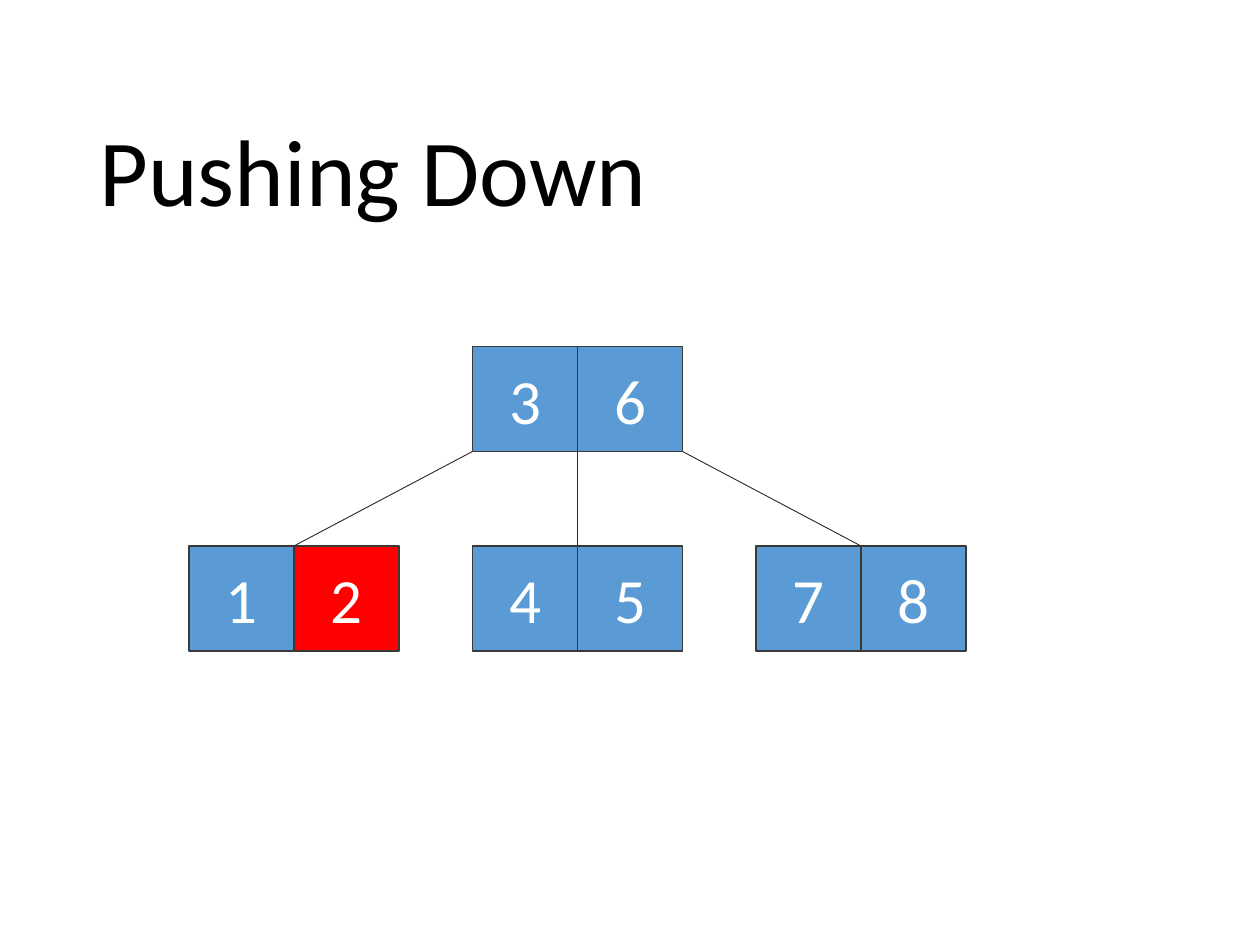
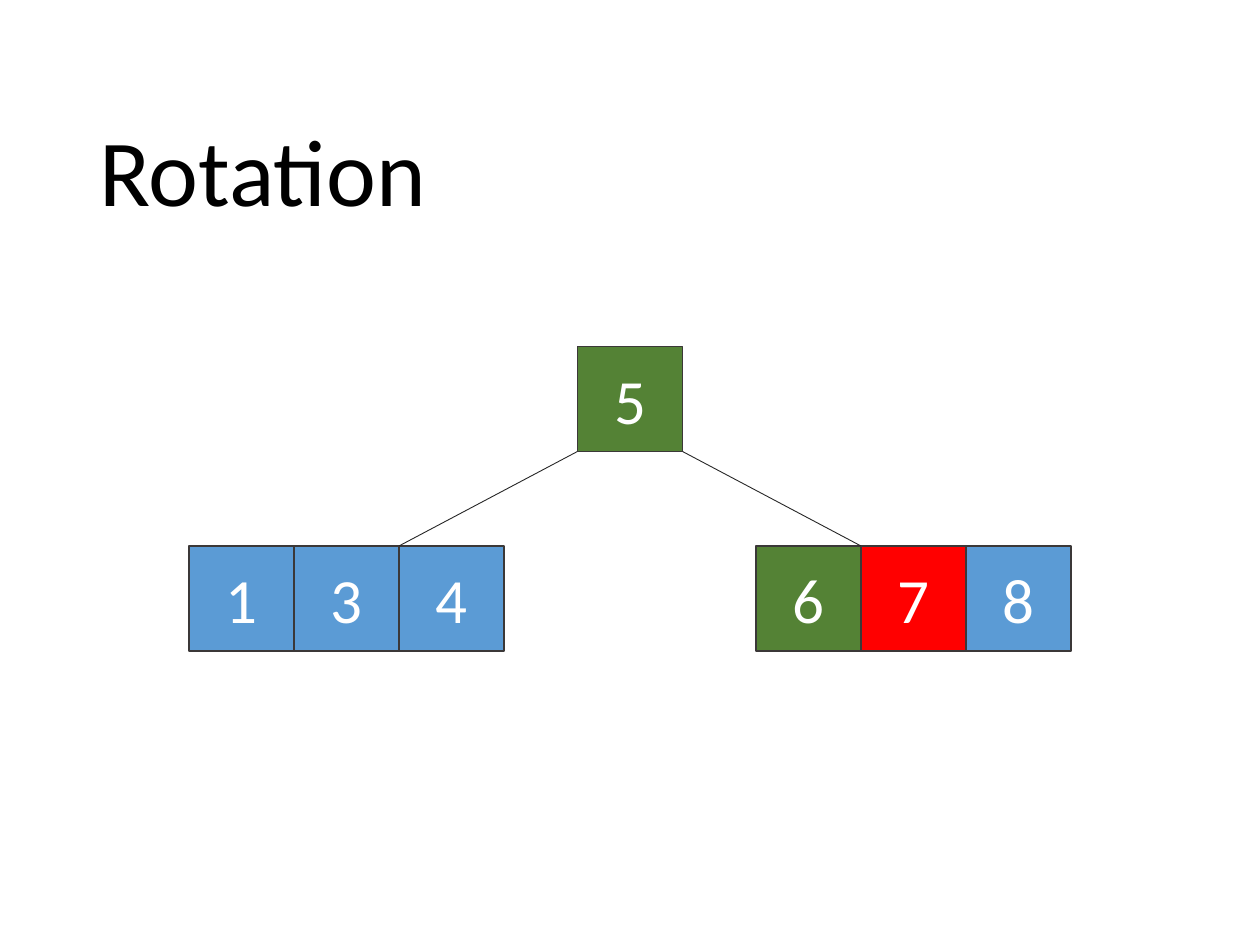
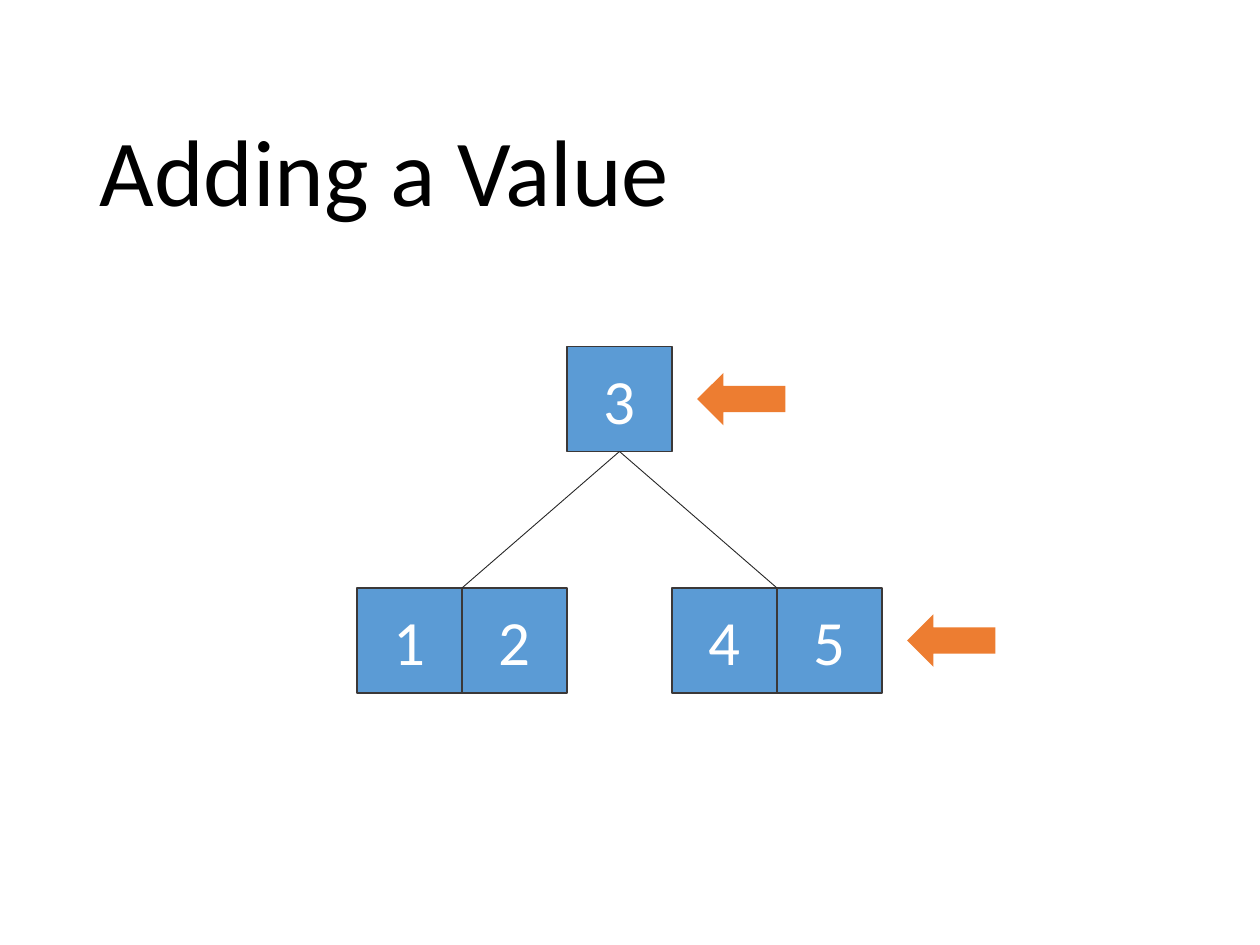
from dataclasses import dataclass

import pptx
import pptx.dml.color
import pptx.enum.shapes
import pptx.enum.text
import pptx.oxml.ns
import pptx.shapes.autoshape
import pptx.slide
import pptx.text.text
import pptx.util
from lxml import etree

PX = 914400 // 120
FONT = "Calibri"
BLACK, WHITE = "000000", "FFFFFF"
BLUE, RED, GREEN, ORANGE = "5B9BD5", "FF0000", "548235", "ED7D31"
BORDER, EDGE = "3B3838", "262626"
CELL = 100
ROOT_TOP = 330
POINTER_WIDTH, POINTER_HEIGHT, POINTER_GAP = 84, 50, 24


@dataclass(frozen=True)
class Node:
    left: int
    keys: str
    pointed: bool = False


@dataclass(frozen=True)
class Edge:
    root_x: int
    leaf_x: int


@dataclass(frozen=True)
class Tree:
    title: str
    root: Node
    leaves: tuple[Node, ...]
    leaf_top: int
    edges: tuple[Edge, ...]
    red_keys: str = ""
    green_keys: str = ""

    def key_fill(self, key: str) -> str:
        if key in self.red_keys:
            return RED
        return GREEN if key in self.green_keys else BLUE


TREES = (
    Tree(
        "Pushing Down",
        Node(450, "36"),
        (Node(180, "12"), Node(450, "45"), Node(720, "78")),
        520,
        (Edge(450, 280), Edge(550, 550), Edge(650, 820)),
        red_keys="2",
    ),
    Tree(
        "Rotation",
        Node(550, "5"),
        (Node(180, "134"), Node(720, "678")),
        520,
        (Edge(550, 380), Edge(650, 820)),
        red_keys="7",
        green_keys="56",
    ),
    Tree(
        "Adding a Value",
        Node(540, "3", pointed=True),
        (Node(340, "12"), Node(640, "45", pointed=True)),
        560,
        (Edge(590, 440), Edge(590, 740)),
    ),
)


def px(length: int) -> pptx.util.Emu:
    return pptx.util.Emu(length * PX)


def color(value: str) -> pptx.dml.color.RGBColor:
    return pptx.dml.color.RGBColor.from_string(value)


def style_text(paragraph: pptx.text.text._Paragraph, size: int, fill: str) -> None:
    paragraph.font.name = FONT
    paragraph.font.size = pptx.util.Pt(size)
    paragraph.font.color.rgb = color(fill)


def add_filled(
    slide: pptx.slide.Slide,
    preset: pptx.enum.shapes.MSO_SHAPE,
    left: int,
    top: int,
    width: int,
    height: int,
    fill: str,
) -> pptx.shapes.autoshape.Shape:
    filled = slide.shapes.add_shape(preset, px(left), px(top), px(width), px(height))
    filled.shadow.inherit = False
    filled.fill.solid()
    filled.fill.fore_color.rgb = color(fill)
    return filled


def add_title(slide: pptx.slide.Slide, title: str) -> None:
    frame = slide.shapes.add_textbox(px(83), px(48), px(1034), px(174)).text_frame
    frame.word_wrap = True
    frame.vertical_anchor = pptx.enum.text.MSO_ANCHOR.BOTTOM
    heading = frame.paragraphs[0]
    heading.text = title
    heading.line_spacing = 0.9
    style_text(heading, 54, BLACK)


def add_key(slide: pptx.slide.Slide, key: str, left: int, top: int, fill: str) -> None:
    cell = add_filled(
        slide, pptx.enum.shapes.MSO_SHAPE.RECTANGLE, left, top, CELL, CELL, fill
    )
    cell.line.color.rgb = color(BORDER)
    cell.line.width = pptx.util.Pt(1)
    cell.text_frame.vertical_anchor = pptx.enum.text.MSO_ANCHOR.MIDDLE
    label = cell.text_frame.paragraphs[0]
    label.text = key
    label.alignment = pptx.enum.text.PP_ALIGN.CENTER
    style_text(label, 36, WHITE)


def add_pointer(slide: pptx.slide.Slide, left: int, node_top: int) -> None:
    pointer = add_filled(
        slide,
        pptx.enum.shapes.MSO_SHAPE.RIGHT_ARROW,
        left,
        node_top + (CELL - POINTER_HEIGHT) // 2,
        POINTER_WIDTH,
        POINTER_HEIGHT,
        ORANGE,
    )
    pointer.rotation = 180
    pointer.line.fill.background()


def add_node(slide: pptx.slide.Slide, tree: Tree, node: Node, top: int) -> None:
    for column, key in enumerate(node.keys):
        add_key(slide, key, node.left + column * CELL, top, tree.key_fill(key))
    if node.pointed:
        add_pointer(slide, node.left + len(node.keys) * CELL + POINTER_GAP, top)


def add_edge(slide: pptx.slide.Slide, edge: Edge, leaf_top: int) -> None:
    branch = slide.shapes.add_connector(
        pptx.enum.shapes.MSO_CONNECTOR.STRAIGHT,
        px(edge.root_x),
        px(ROOT_TOP + CELL),
        px(edge.leaf_x),
        px(leaf_top),
    )
    branch.line.color.rgb = color(EDGE)
    branch.line.width = pptx.util.Pt(0.5)
    properties = branch._element.spPr
    etree.SubElement(properties, pptx.oxml.ns.qn("a:effectLst"))


def add_tree(slide: pptx.slide.Slide, tree: Tree) -> None:
    add_title(slide, tree.title)
    add_node(slide, tree, tree.root, ROOT_TOP)
    for leaf in tree.leaves:
        add_node(slide, tree, leaf, tree.leaf_top)
    for edge in tree.edges:
        add_edge(slide, edge, tree.leaf_top)


def main() -> None:
    deck = pptx.Presentation()
    deck.slide_width, deck.slide_height = px(1200), px(900)
    for tree in TREES:
        add_tree(deck.slides.add_slide(deck.slide_layouts[6]), tree)
    deck.save("out.pptx")


if __name__ == "__main__":
    main()
